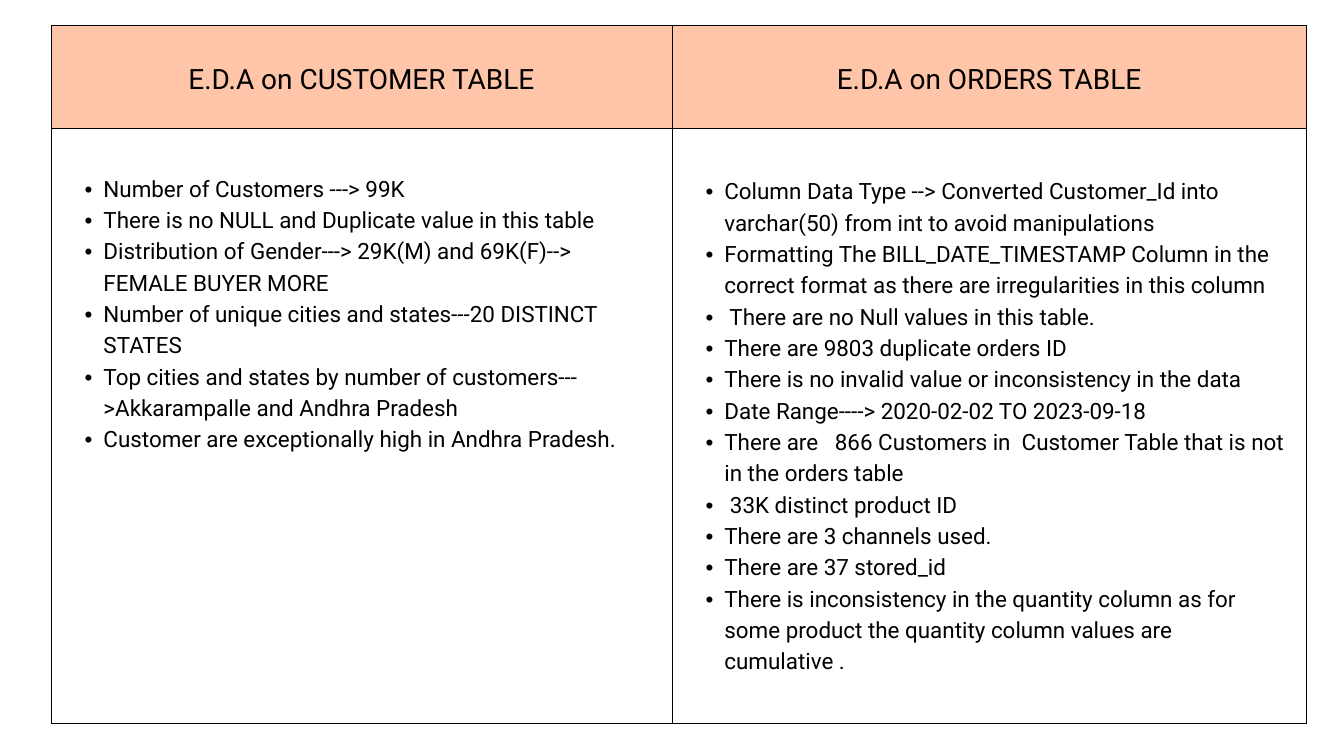
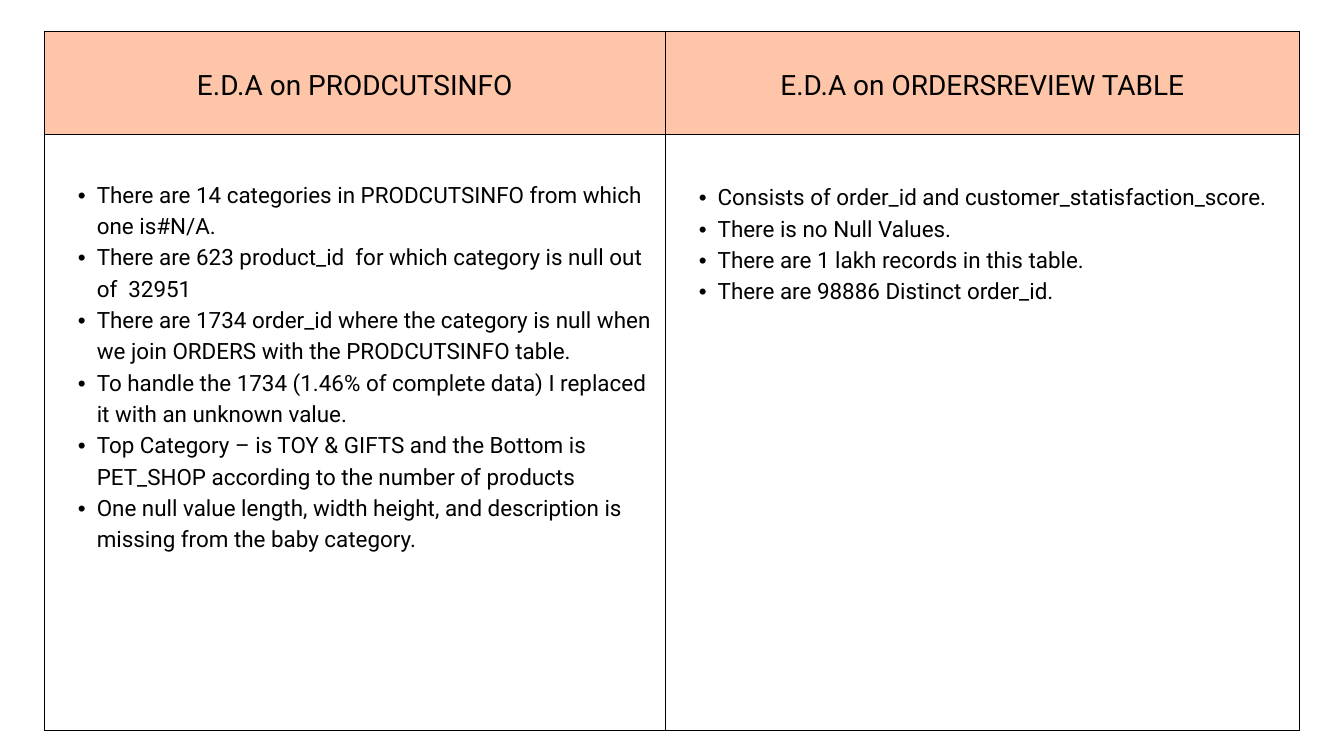
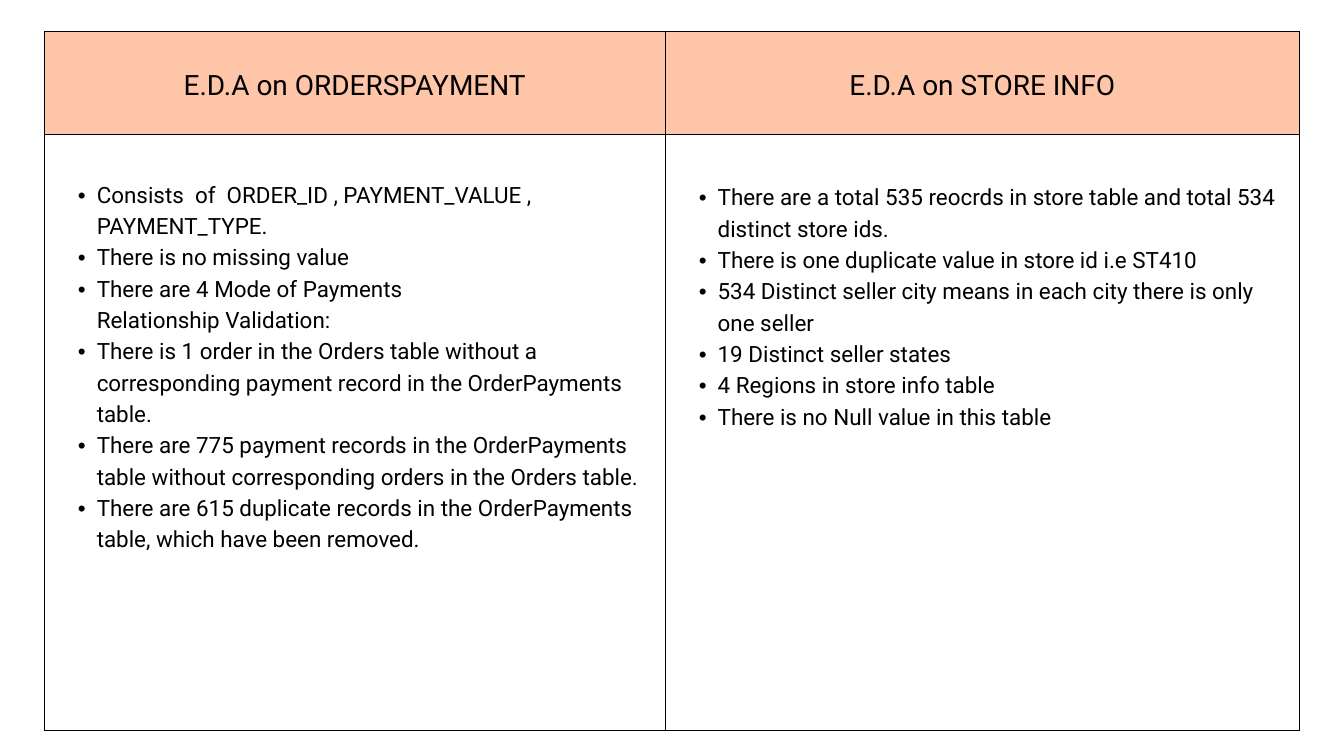
"""Three slides of data findings, each a two-column table of headings and bullets."""
from pptx import Presentation, util as u
from pptx.dml.color import RGBColor
from pptx.enum import text
from pptx.oxml import parse_xml
from pptx.oxml.ns import nsdecls

PEACH = RGBColor(0xFF, 0xC5, 0xA8)
WHITE = RGBColor(0xFF, 0xFF, 0xFF)
BLACK = RGBColor(0, 0, 0)
FONT = "Roboto"

deck = Presentation()
deck.slide_width, deck.slide_height = u.Inches(20), u.Inches(11.25)
col, row = deck.slide_width / 100, deck.slide_height / 100
COLS = [46.2, 47.2]
ROWS = [13.6, 78.76]
PAD = u.Inches(0.21)
LEADS = [u.Pt(30.8), u.Pt(33.6)]
HANG = u.Inches(0.57)
OUT = u.Inches(-0.28)

PAGES = [
    (3.8, 3.38, [
        ("E.D.A on CUSTOMER TABLE", [
            "Number of Customers ---> 99K",
            "There is no NULL and Duplicate value in this table",
            "Distribution of Gender---> 29K(M) and 69K(F)--> FEMALE BUYER MORE",
            "Number of unique cities and states---20 DISTINCT STATES",
            "Top cities and states by number of customers--->Akkarampalle and Andhra Pradesh",
            "Customer are exceptionally high in Andhra Pradesh.",
        ]),
        ("E.D.A on ORDERS TABLE", [
            "Column Data Type --> Converted Customer_Id into varchar(50) from int to avoid manipulations",
            "Formatting The BILL_DATE_TIMESTAMP Column in the correct format as there are "
            "irregularities in this column",
            " There are no Null values in this table.",
            "There are 9803 duplicate orders ID",
            "There is no invalid value or inconsistency in the data",
            "Date Range----> 2020-02-02 TO 2023-09-18",
            "There are   866 Customers in  Customer Table that is not in the orders table",
            " 33K distinct product ID",
            "There are 3 channels used.",
            "There are 37 stored_id",
            "There is inconsistency in the quantity column as for some product the quantity "
            "column values are cumulative .",
        ]),
    ]),
    (3.3, 4.18, [
        ("E.D.A on PRODCUTSINFO", [
            "There are 14 categories in PRODCUTSINFO from which one is#N/A.",
            "There are 623 product_id  for which category is null out of  32951",
            "There are 1734 order_id where the category is null when we join ORDERS with the "
            "PRODCUTSINFO table.",
            "To handle the 1734 (1.46% of complete data) I replaced it with an unknown value.",
            "Top Category – is TOY & GIFTS and the Bottom is  PET_SHOP according to the number "
            "of products",
            "One null value length, width height, and description is missing from the baby category.",
        ]),
        ("E.D.A on ORDERSREVIEW TABLE", [
            "Consists of order_id and customer_statisfaction_score.",
            "There is no Null Values.",
            "There are 1 lakh records in this table.",
            "There are 98886 Distinct order_id.",
        ]),
    ]),
    (3.3, 4.18, [
        ("E.D.A on ORDERSPAYMENT", [
            "Consists  of  ORDER_ID , PAYMENT_VALUE , PAYMENT_TYPE.",
            "There is no missing value",
            "There are 4 Mode of Payments",
            "Relationship Validation:",
            "There is 1 order in the Orders table without a corresponding payment record in the "
            "OrderPayments table.",
            "There are 775 payment records in the OrderPayments table without corresponding "
            "orders in the Orders table.",
            "There are 615 duplicate records in the OrderPayments table, which have been removed.",
        ]),
        ("E.D.A on STORE INFO", [
            "There are a total 535 reocrds in store table and total 534 distinct store ids.",
            "There is one duplicate value in store id i.e ST410",
            "534 Distinct seller city means in each city there is only one seller",
            "19 Distinct seller states",
            "4 Regions in store info table",
            "There is no Null value in this table",
        ]),
    ]),
]


def frame(cell, fill):
    """Give a cell its borders, fill and padding."""
    props = cell._tc.get_or_add_tcPr()
    for side in "LRTB":
        props.append(parse_xml(
            f'<a:ln{side} {nsdecls("a")} w="{u.Pt(0.75)}"><a:solidFill>'
            f'<a:srgbClr val="{BLACK}"/></a:solidFill></a:ln{side}>'))
    cell.fill.solid()
    cell.fill.fore_color.rgb = fill
    cell.margin_left = cell.margin_right = cell.margin_top = cell.margin_bottom = PAD


def style(para, size, lead):
    """Set the font and line pitch of a paragraph."""
    para.line_spacing = u.Pt(lead)
    for run in para.runs:
        run.font.name, run.font.size = FONT, u.Pt(size)
        run.font.color.rgb = BLACK


for left, top, parts in PAGES:
    slide = deck.slides.add_slide(deck.slide_layouts[6])
    grid = slide.shapes.add_table(
        2, 2, int(left * col), int(top * row),
        int(sum(COLS) * col), int(sum(ROWS) * row)).table
    grid.first_row = grid.horz_banding = False
    for line, share in zip(grid.rows, ROWS):
        line.height = int(share * row)

    for i, (title, notes) in enumerate(parts):
        grid.columns[i].width = int(COLS[i] * col)
        head, body = grid.cell(0, i), grid.cell(1, i)
        frame(head, PEACH)
        frame(body, WHITE)

        head.vertical_anchor = text.MSO_ANCHOR.MIDDLE
        head.text_frame.text = title
        para = head.text_frame.paragraphs[0]
        para.alignment = text.PP_ALIGN.CENTER
        style(para, 30, 42)

        body.margin_top = PAD + LEADS[i]
        body.text_frame.text = "\n".join(notes)
        for para in body.text_frame.paragraphs:
            style(para, 24, 33.6)
            props = para._p.get_or_add_pPr()
            props.set("marL", str(HANG))
            if not para.text.endswith(":"):
                para.level = 1
                props.set("indent", str(OUT))
                props.append(parse_xml(f'<a:buFont {nsdecls("a")} typeface="Arial"/>'))
                props.append(parse_xml(f'<a:buChar {nsdecls("a")} char="•"/>'))

deck.save("out.pptx")
